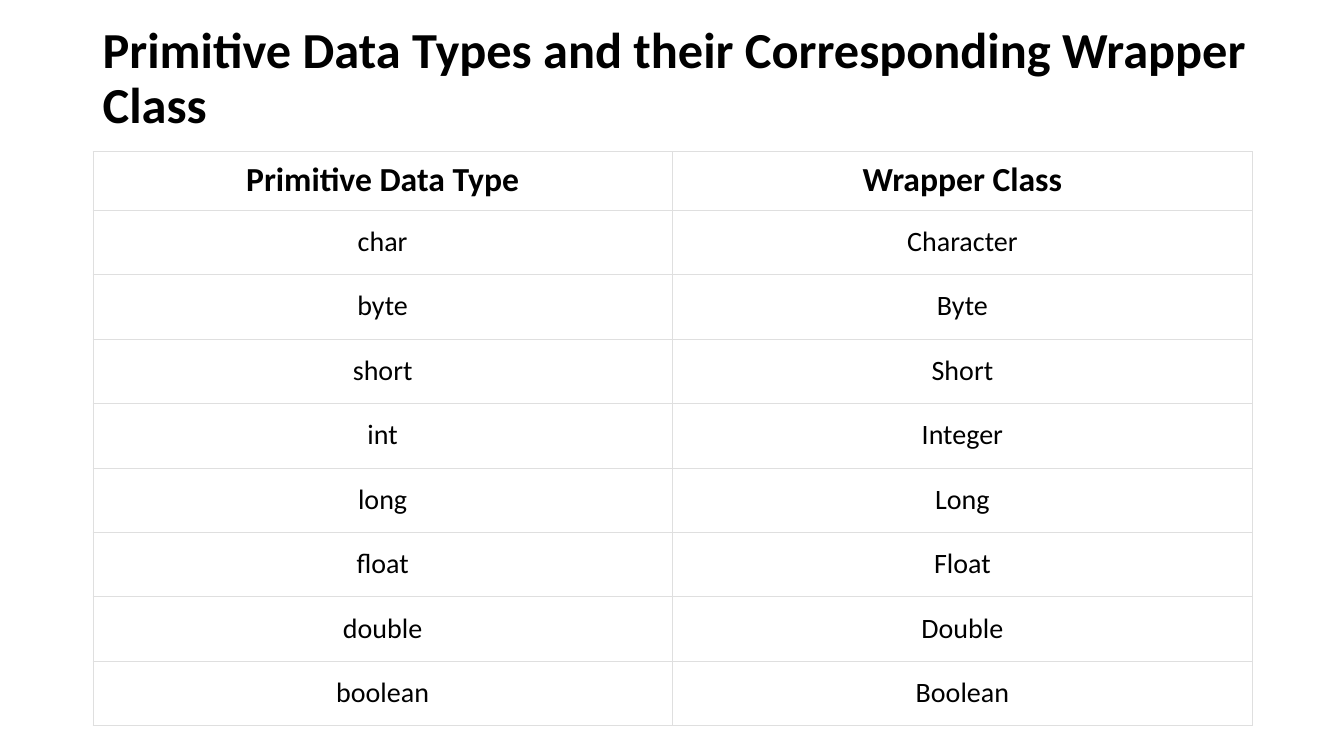
"""Build a slide that pairs Java primitive data types with their wrapper classes."""
from dataclasses import dataclass

from lxml import etree
from pptx import Presentation
from pptx.dml.color import RGBColor
from pptx.enum.text import MSO_ANCHOR, PP_ALIGN
from pptx.oxml.ns import qn
from pptx.util import Inches, Pt

MIDDLE = MSO_ANCHOR.MIDDLE
LEFT = PP_ALIGN.LEFT
CENTER = PP_ALIGN.CENTER
FONT = "Calibri"
BLACK, WHITE, BORDER = "000000", "FFFFFF", "DFDFDF"
BORDER_POINTS = 0.18
COLUMN_WIDTH = 5.75


@dataclass(frozen=True)
class RowStyle:
    height: float
    size: float
    bold: bool
    side_margins: tuple[float, float]
    vertical_margin: float


HEADER = RowStyle(0.58, 24, True, (0.04, 0.08), 0.08)
BODY = RowStyle(0.64, 20, False, (0.08, 0.08), 0.12)


@dataclass(frozen=True)
class TypePair:
    primitive: str
    wrapper: str
    style: RowStyle = BODY


TYPE_PAIRS = [
    TypePair("Primitive Data Type", "Wrapper Class", HEADER),
    TypePair("char", "Character"),
    TypePair("byte", "Byte"),
    TypePair("short", "Short"),
    TypePair("int", "Integer"),
    TypePair("long", "Long"),
    TypePair("float", "Float"),
    TypePair("double", "Double"),
    TypePair("boolean", "Boolean"),
]


def color(value: str) -> RGBColor:
    return RGBColor.from_string(value)


def write_text(frame, text: str, *, size: float, bold: bool = False,
               align=LEFT, line_spacing: float = 1.0) -> None:
    para = frame.paragraphs[0]
    para.alignment = align
    para.line_spacing = line_spacing
    span = para.add_run()
    span.text = text
    span.font.name = FONT
    span.font.size = Pt(size)
    span.font.bold = bold
    span.font.color.rgb = color(BLACK)


def add_title(page, text: str) -> None:
    box = page.shapes.add_textbox(Inches(0.92), Inches(0.4), Inches(12.11), Inches(0.78))
    box.text_frame.word_wrap = True
    box.text_frame.vertical_anchor = MIDDLE
    write_text(box.text_frame, text, size=36, bold=True, line_spacing=0.9)


def add_borders(cell) -> None:
    properties = cell._tc.get_or_add_tcPr()
    for position, side in enumerate(("lnL", "lnR", "lnT", "lnB")):
        line = etree.Element(qn(f"a:{side}"), w=str(int(Pt(BORDER_POINTS))))
        fill = etree.SubElement(line, qn("a:solidFill"))
        etree.SubElement(fill, qn("a:srgbClr"), val=BORDER)
        properties.insert(position, line)


def fill_cell(cell, text: str, style: RowStyle, side_margin: float) -> None:
    cell.fill.solid()
    cell.fill.fore_color.rgb = color(WHITE)
    cell.vertical_anchor = MIDDLE
    cell.margin_left = cell.margin_right = Inches(side_margin)
    cell.margin_top = cell.margin_bottom = Inches(style.vertical_margin)
    write_text(cell.text_frame, text, size=style.size, bold=style.bold, align=CENTER)
    add_borders(cell)


def add_type_table(page, pairs: list[TypePair]) -> None:
    height = sum(pair.style.height for pair in pairs)
    table = page.shapes.add_table(len(pairs), 2, Inches(0.92), Inches(1.5),
                                  Inches(2 * COLUMN_WIDTH), Inches(height)).table
    for column in table.columns:
        column.width = Inches(COLUMN_WIDTH)
    for row, pair in zip(table.rows, pairs):
        row.height = Inches(pair.style.height)
        texts = (pair.primitive, pair.wrapper)
        for cell, text, margin in zip(row.cells, texts, pair.style.side_margins):
            fill_cell(cell, text, pair.style, margin)


def main() -> None:
    deck = Presentation()
    deck.slide_width = Inches(13.33)
    deck.slide_height = Inches(7.5)
    page = deck.slides.add_slide(deck.slide_layouts[6])
    add_title(page, "Primitive Data Types and their Corresponding Wrapper Class")
    add_type_table(page, TYPE_PAIRS)
    deck.save("out.pptx")


if __name__ == "__main__":
    main()
